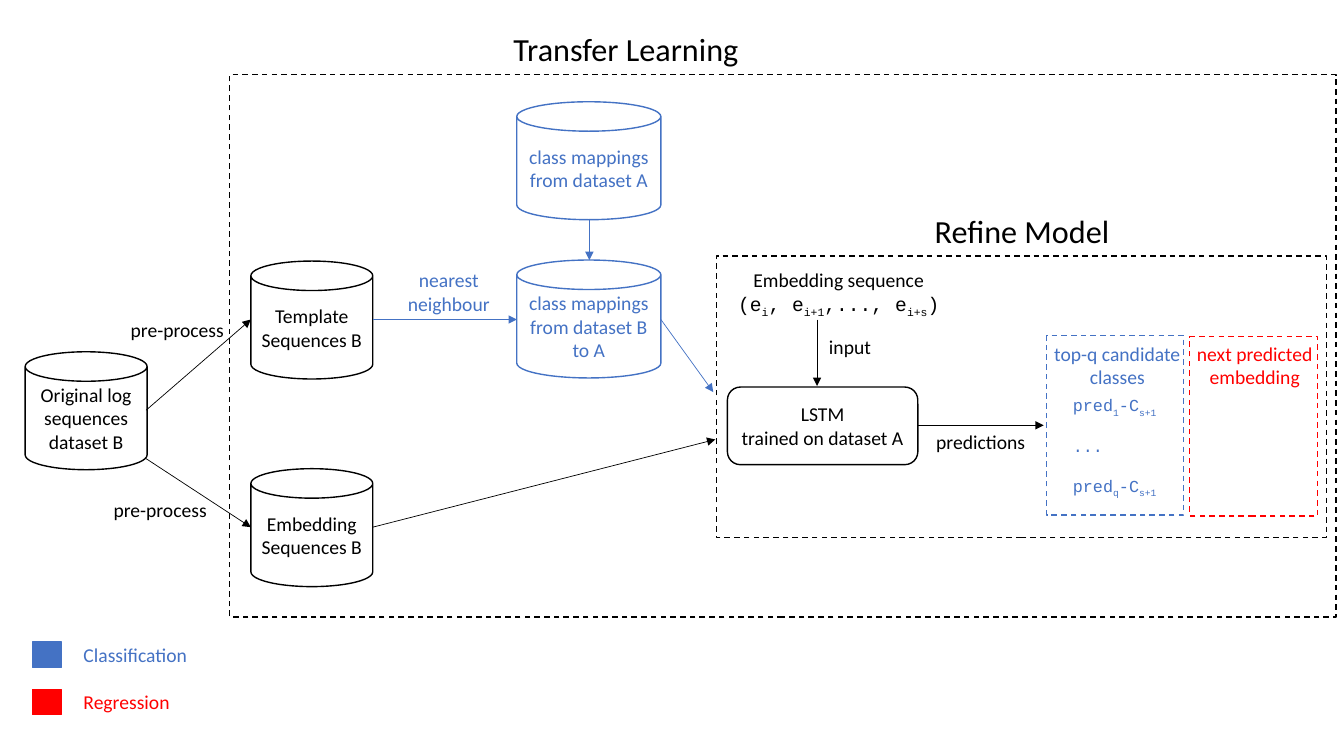
"""Build the transfer learning diagram slide."""
from lxml.etree import SubElement
from pptx import Presentation
from pptx.dml.color import RGBColor
from pptx.enum.dml import MSO_LINE
from pptx.enum.shapes import MSO_CONNECTOR, MSO_SHAPE as SHAPE
from pptx.enum.text import MSO_ANCHOR as ANCHOR, PP_ALIGN as ALIGN
from pptx.oxml.ns import qn
from pptx.util import Pt

EMU_PER_PX = 9144
BLACK, BLUE, RED = "000000", "4472C4", "FF0000"
BODY_SIZE, TITLE_SIZE, CODE_SIZE = 14, 23, 12
CAN_HEIGHT = 117

# Lines starting with ` are code; | switches subscript on and off.
CANS = [
    ("Original log sequences dataset B", 25, 349, 121, BLACK),
    ("class mappings from dataset A", 513, 101, 143, BLUE),
    ("Embedding\nSequences B", 249, 465, 121, BLACK),
    ("Template\nSequences B", 249, 259, 121, BLACK),
    ("class mappings from dataset B to A", 513, 258, 143, BLUE),
]
FRAMES = [
    (711, 254, 606, 279, BLACK),
    (228, 74, 1098, 538, BLACK),
    (1039, 333, 136, 178, BLUE),
    (1181, 334, 127, 178, RED),
]
ARROWS = [
    (145, 407, 249, 317, BLACK),
    (370, 317, 513, 317, BLUE),
    (145, 455, 249, 523, BLACK),
    (585, 218, 585, 258, BLUE),
    (370, 523, 710, 436, BLACK),
    (656, 317, 708, 389, BLUE),
    (911, 422, 1036, 422, BLACK),
    (811, 317, 811, 383, BLACK),
]
TITLES = [
    ("Refine Model", 910, 205, 209, 49, BLACK),
    ("Transfer Learning", 491, 24, 261, 49, BLACK),
]
CENTRED_LABELS = [
    ("nearest neighbour", 385, 261, 121, 57, BLUE),
    ("pre-process", 112, 311, 128, 34, BLACK),
    ("pre-process", 95, 489, 128, 34, BLACK),
    ("top-q candidate\nclasses", 1005, 334, 208, 57, BLUE),
    ("next predicted embedding", 1149, 334, 193, 57, RED),
    ("predictions", 906, 422, 135, 34, BLACK),
    ("Embedding sequence\n`(e|i|, e|i+1|,..., e|i+s|)", 499, 261, 667, 57, BLACK),
]
INPUT_LABEL = ("input", 813, 327, 75, 34, BLACK)
PREDICTIONS = ["`pred|1|-C|s+1", "`...", "`pred|q|-C|s+1"]
LEGEND = [("Classification", BLUE), ("Regression", RED)]


def px(*lengths):
    return [length * EMU_PER_PX for length in lengths]


def color(hex_value):
    return RGBColor.from_string(hex_value)


def write(item, text, hex_value, size=BODY_SIZE, align=ALIGN.CENTER, side=10):
    frame = item.text_frame
    frame.word_wrap = True
    frame.margin_left, frame.margin_right = px(side, side)
    for index, line in enumerate(text.split("\n")):
        para = frame.paragraphs[0] if index == 0 else frame.add_paragraph()
        para.alignment = align
        para.font.name = "Courier New" if line.startswith("`") else "Calibri"
        para.font.size = Pt(size)
        para.font.color.rgb = color(hex_value)
        for position, part in enumerate(line.lstrip("`").split("|")):
            span = para.add_run()
            span.text = part
            if position % 2:
                span._r.get_or_add_rPr().set("baseline", "-25000")


def add_label(page, text, left, top, width, height, hex_value, **style):
    box = page.shapes.add_textbox(*px(left, top, width, height))
    write(box, text, hex_value, **style)


def add_outline(page, kind, left, top, width, height, hex_value):
    shape = page.shapes.add_shape(kind, *px(left, top, width, height))
    shape.shadow.inherit = False
    shape.fill.background()
    shape.line.color.rgb = color(hex_value)
    shape.line.width = Pt(1)
    return shape


def add_node(page, kind, text, left, top, width, height, hex_value):
    node = add_outline(page, kind, left, top, width, height, hex_value)
    node.text_frame.vertical_anchor = ANCHOR.MIDDLE
    write(node, text, hex_value, side=8)


def add_arrow(page, x1, y1, x2, y2, hex_value):
    arrow = page.shapes.add_connector(MSO_CONNECTOR.STRAIGHT, *px(x1, y1, x2, y2))
    arrow.line.color.rgb = color(hex_value)
    arrow.line.width = Pt(0.5)
    SubElement(arrow.line._get_or_add_ln(), qn("a:tailEnd"), type="triangle")
    SubElement(arrow._element.spPr, qn("a:effectLst"))


def main():
    deck = Presentation()
    deck.slide_width, deck.slide_height = px(1334, 750)
    page = deck.slides.add_slide(deck.slide_layouts[6])
    for frame in FRAMES:
        add_outline(page, SHAPE.RECTANGLE, *frame).line.dash_style = MSO_LINE.DASH
    for text, left, top, width, hex_value in CANS:
        add_node(page, SHAPE.CAN, text, left, top, width, CAN_HEIGHT, hex_value)
    add_node(page, SHAPE.ROUNDED_RECTANGLE, "LSTM\ntrained on dataset A",
             722, 384, 189, 77, BLACK)
    for arrow in ARROWS:
        add_arrow(page, *arrow)
    for title in TITLES:
        add_label(page, *title, size=TITLE_SIZE)
    for label in CENTRED_LABELS:
        add_label(page, *label)
    add_label(page, *INPUT_LABEL, align=ALIGN.LEFT)
    for row, text in enumerate(PREDICTIONS):
        add_label(page, text, 1055, 387 + 40 * row, 108, 30, BLUE,
                  size=CODE_SIZE, align=ALIGN.LEFT)
    for row, (text, hex_value) in enumerate(LEGEND):
        top = 633 + 47 * row
        swatch = add_outline(page, SHAPE.RECTANGLE, 32, top + 4, 29, 25, hex_value)
        swatch.fill.solid()
        swatch.fill.fore_color.rgb = color(hex_value)
        add_label(page, text, 73, top, 132, 34, hex_value, align=ALIGN.LEFT)
    deck.save("out.pptx")


if __name__ == "__main__":
    main()
